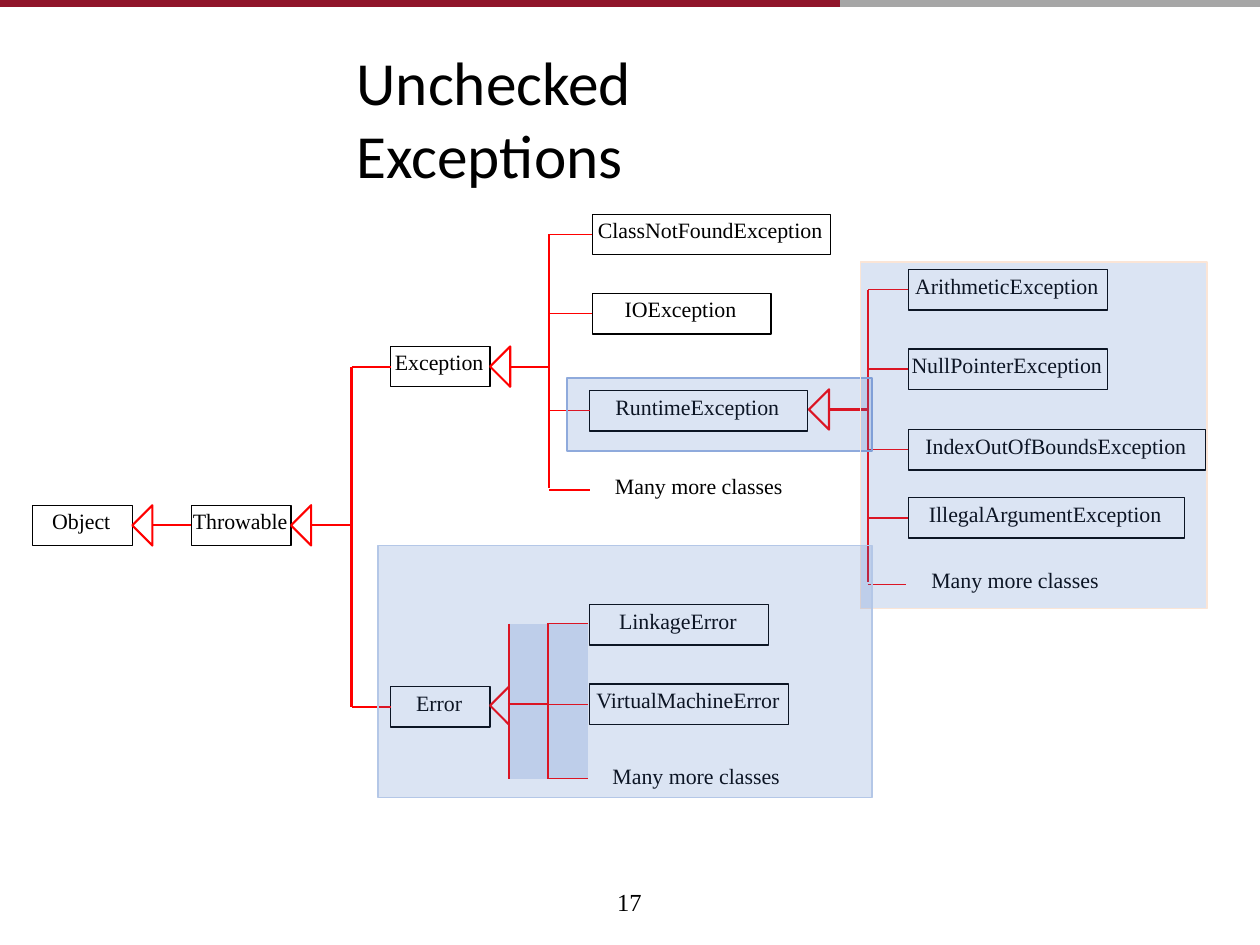
from lxml.etree import SubElement
from pptx import Presentation
from pptx.dml.color import RGBColor
from pptx.enum.shapes import MSO_CONNECTOR, MSO_SHAPE
from pptx.enum.text import MSO_ANCHOR, MSO_AUTO_SIZE, PP_ALIGN
from pptx.oxml.ns import qn
from pptx.util import Inches, Pt

COLORS = {
    "text": "000000", "arrow": "FF0000", "cell": "DBE4F3", "zone": "4472C4",
    "runtime_edge": "8FAADC", "subclass_edge": "FBE5D6", "error_edge": "B4C7E7",
    "bar_main": "90152A", "bar_side": "A6A6A6",
}
CLASS_HEIGHT = 0.32
HALF = CLASS_HEIGHT / 2
HEAD_WIDTH = 0.16
MORE = "Many more classes"


def color(name):
    """Return the named palette colour."""
    return RGBColor.from_string(COLORS[name])


def write_text(shape, text, size=12.5, font="Times New Roman",
               align=PP_ALIGN.CENTER, top=0.02, right=0.02):
    """Fill a shape with one formatted paragraph."""
    frame = shape.text_frame
    frame.word_wrap = True
    frame.auto_size = MSO_AUTO_SIZE.NONE
    frame.vertical_anchor = MSO_ANCHOR.TOP
    frame.margin_left = frame.margin_bottom = 0
    frame.margin_top, frame.margin_right = Inches(top), Inches(right)
    para = frame.paragraphs[0]
    para.alignment = align
    span = para.add_run()
    span.text = text
    span.font.size = Pt(size)
    span.font.name = font
    span.font.color.rgb = color("text")


def add_line(page, start, end, width, shade="arrow", target=None):
    """Draw a straight line, joined to the left side of a target if given."""
    line = page.shapes.add_connector(
        MSO_CONNECTOR.STRAIGHT, *(Inches(value) for value in (*start, *end)))
    line.line.color.rgb = color(shade)
    line.line.width = Pt(width)
    SubElement(line._element.spPr, qn("a:effectLst"))
    if target is not None:
        line.end_connect(target, 1)


def style_outline(shape, shade, width):
    """Leave a shape unfilled, with a coloured edge and no shadow."""
    shape.shadow.inherit = False
    shape.fill.background()
    shape.line.color.rgb = color(shade)
    shape.line.width = Pt(width)


def add_rectangle(page, box, shade, width):
    """Add an unfilled rectangle with a coloured edge."""
    shape = page.shapes.add_shape(
        MSO_SHAPE.RECTANGLE, *(Inches(value) for value in box))
    style_outline(shape, shade, width)
    return shape


def add_class(page, text, left, top, width):
    """Add a framed class name, or a plain label for further classes."""
    box = (left, top, width, CLASS_HEIGHT)
    if text == MORE:
        shape = page.shapes.add_textbox(*(Inches(value) for value in box))
    else:
        shape = add_rectangle(page, box, "text", 0.79)
    write_text(shape, text)
    return shape


def add_inheritance(page, tip, strokes=()):
    """Outline a hollow head that points left, with any further strokes."""
    tip_x, middle = tip
    base = tip_x + HEAD_WIDTH
    head = ((base, middle - HALF), tip, (base, middle + HALF),
            (base, middle - HALF))
    builder = None
    for stroke in (head, *strokes):
        first, *rest = [(Inches(x), Inches(y)) for x, y in stroke]
        if builder is None:
            builder = page.shapes.build_freeform(*first)
        else:
            builder.move_to(*first)
        builder.add_line_segments(rest, close=False)
    style_outline(builder.convert_to_shape(), "arrow", 1.18)


def draw_title(page, box):
    """Place the title placeholder."""
    title = page.shapes.title
    title.left, title.top, title.width, title.height = map(Inches, box)
    write_text(title, "Unchecked Exceptions", size=35, font="Calibri",
               align=PP_ALIGN.LEFT, top=0.01, right=0.3)
    title.text_frame.margin_left = Inches(0.02)


def draw_root(page, box):
    """Draw Object and Throwable with the arrow between them."""
    left, top, width, _ = box
    class_width, middle = 0.79, top + HALF
    tip, throwable_left = left + class_width, left + width - class_width
    add_class(page, "Object", left, top, class_width)
    add_class(page, "Throwable", throwable_left, top, class_width)
    stem = ((tip + HEAD_WIDTH, middle), (throwable_left, middle))
    add_inheritance(page, (tip, middle), [stem])


def draw_family(page, box, tip, children, branch_width=0.79):
    """Draw subclasses on a trunk at the left of the box, under a parent."""
    left, top, _, height = box
    tip_x, middle = tip
    stem = ((tip_x + HEAD_WIDTH, middle), (left, middle))
    trunk = ((left, top + HALF), (left, top + height - HALF))
    add_inheritance(page, tip, [stem, trunk])
    for text, across, down, width in children:
        shape = add_class(page, text, left + across, top + down, width)
        level = top + down + HALF
        add_line(page, (left, level), (left + across, level),
                 branch_width, target=shape)


def set_borders(cell, **widths):
    """Give a cell red borders, with none on the sides left out."""
    properties = cell._tc.get_or_add_tcPr()
    for side in "LRTB":
        border = SubElement(properties, qn(f"a:ln{side}"))
        if side in widths:
            border.set("w", str(Pt(widths[side])))
            fill = SubElement(border, qn("a:solidFill"))
            SubElement(fill, qn("a:srgbClr")).set("val", COLORS["arrow"])
        else:
            border.set("w", "0")
            SubElement(border, qn("a:noFill"))


def draw_error_family(page, box):
    """Draw the subclasses of Error and the bordered grid that joins them."""
    left, top, _, _ = box
    add_inheritance(page, (left - 0.15, top + 0.8))
    frame = page.shapes.add_table(2, 2, Inches(left), Inches(top + 0.15),
                                  Inches(0.63), Inches(1.23))
    grid = frame.table
    grid.first_row = grid.horz_banding = False
    for column, width in zip(grid.columns, (0.31, 0.32)):
        column.width = Inches(width)
    for row, height in zip(grid.rows, (0.64, 0.59)):
        row.height = Inches(height)
    for row, (inner, outer) in enumerate(("BT", "TB")):
        set_borders(grid.cell(row, 0), L=1.5, R=1.5, **{inner: 1.5})
        set_borders(grid.cell(row, 1), L=1.5, **{inner: 0.75, outer: 1})
        for column in range(2):
            cell = grid.cell(row, column)
            cell.margin_left = cell.margin_right = 0
            cell.fill.solid()
            cell.fill.fore_color.rgb = color("cell")
    for text, down, width in (("LinkageError", 0, 1.42),
                              ("VirtualMachineError", 0.63, 1.58),
                              (MORE, 1.23, 1.71)):
        add_class(page, text, left + 0.64, top + down, width)


def draw_zone(page, box, edge):
    """Lay a translucent panel over a group of unchecked classes."""
    zone = add_rectangle(page, box, edge, 1)
    zone.fill.solid()
    zone.fill.fore_color.rgb = color("zone")
    shade = zone._element.spPr.find(qn("a:solidFill"))[0]
    SubElement(shade, qn("a:alpha")).set("val", "19000")


def draw_top_bar(page, box):
    """Draw the two-colour bar along the top edge."""
    left, top, width, height = box
    middle, split = top + height / 2, left + width * 2 / 3
    add_line(page, (split, middle), (left + width, middle), 4, "bar_side")
    add_line(page, (left, middle), (split, middle), 4, "bar_main")


def draw_page_number(page, box):
    """Place the page number."""
    number = page.shapes.add_textbox(*(Inches(value) for value in box))
    write_text(number, "17", size=14, top=0)


def main():
    """Build the deck and save it."""
    deck = Presentation()
    deck.slide_width, deck.slide_height = Inches(10), Inches(7.5)
    page = deck.slides.add_slide(deck.slide_layouts[5])
    draw_title(page, (2.81, 0.34, 4.38, 0.61))
    draw_root(page, (0.26, 4.01, 2.05, 0.32))
    draw_family(page, (2.79, 2.75, 1.1, 3.02), (2.31, 4.17), (
        ("Exception", 0.31, 0, 0.79), ("Error", 0.31, 2.7, 0.79)), 1.18)
    draw_family(page, (4.36, 1.7, 2.23, 2.33), (3.89, 2.91), (
        ("ClassNotFoundException", 0.34, 0, 1.89),
        ("IOException", 0.34, 0.63, 1.42),
        ("RuntimeException", 0.32, 1.4, 1.73), (MORE, 0.32, 2.03, 1.75)))
    draw_family(page, (6.89, 2.14, 2.68, 2.64), (6.42, 3.25), (
        ("ArithmeticException", 0.32, 0, 1.58),
        ("NullPointerException", 0.32, 0.63, 1.58),
        ("IndexOutOfBoundsException", 0.32, 1.27, 2.36),
        ("IllegalArgumentException", 0.32, 1.81, 2.19),
        (MORE, 0.3, 2.34, 1.75)))
    draw_error_family(page, (4.04, 4.8, 2.22, 1.55))
    draw_zone(page, (4.5, 3, 2.42, 0.58), "runtime_edge")
    draw_zone(page, (6.83, 2.08, 2.75, 2.75), "subclass_edge")
    draw_zone(page, (3, 4.33, 3.92, 2), "error_edge")
    draw_top_bar(page, (0, 0, 10, 0.06))
    draw_page_number(page, (4.86, 7.04, 0.29, 0.24))
    deck.save("out.pptx")


if __name__ == "__main__":
    main()
